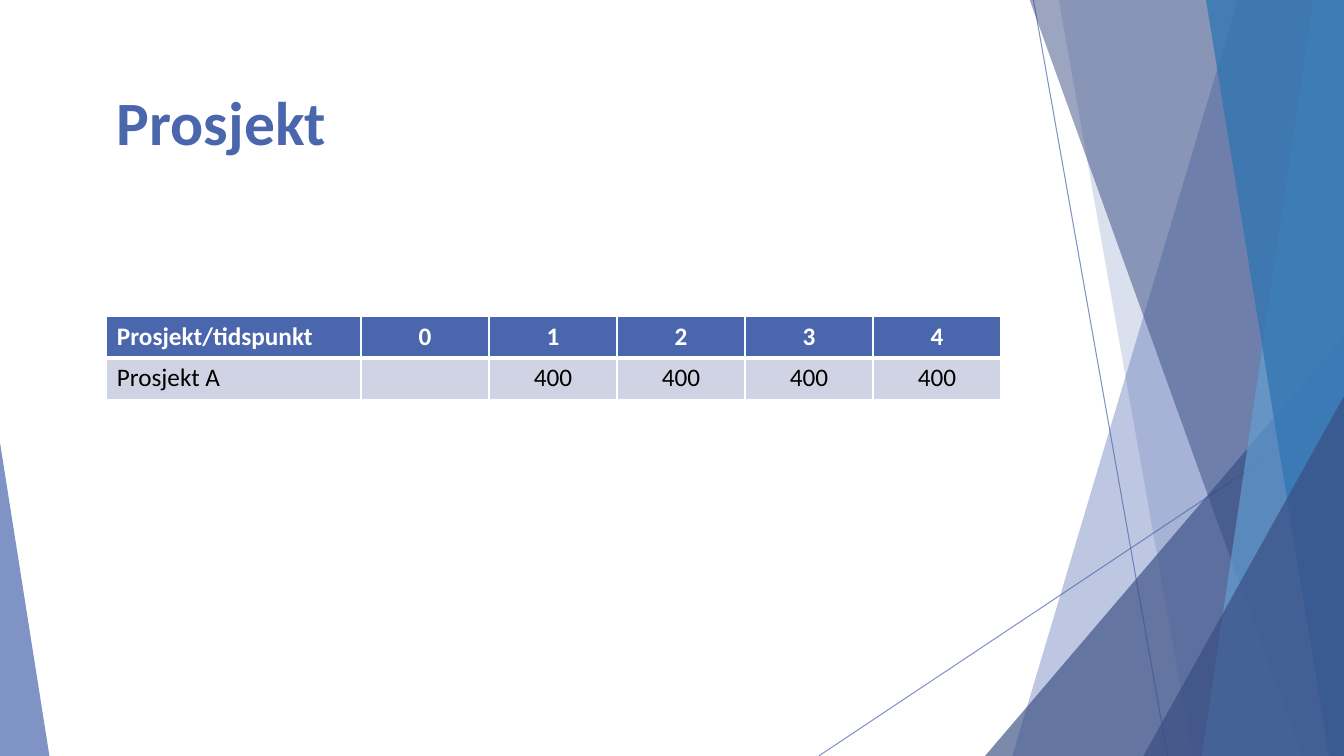
from lxml import etree
from pptx import Presentation
from pptx.dml.color import RGBColor
from pptx.enum.shapes import MSO_CONNECTOR, MSO_SHAPE
from pptx.enum.text import MSO_ANCHOR, PP_ALIGN
from pptx.oxml.ns import qn
from pptx.util import Inches, Pt

FONT = "Calibri"
BLUE, NAVY, SKY, OCEAN = "4A66AC", "384C81", "629DD1", "3477B2"
WHITE, BLACK, PALE = "FFFFFF", "000000", "D0D3E3"
WIDTH, HEIGHT, TOP = 13.33, 7.5, -0.01
TABLE_ROWS = [
    ["Prosjekt/tidspunkt", "0", "1", "2", "3", "4"],
    ["Prosjekt A", "", "400", "400", "400", "400"],
]


def set_color(color_format, color):
    color_format.rgb = RGBColor.from_string(color)


def set_alpha(fill_parent, percent):
    """Set the opacity of the solid fill held by an spPr or ln element."""
    color = fill_parent.find(qn("a:solidFill"))[0]
    etree.SubElement(color, qn("a:alpha"), val=str(percent * 1000))


def paint(shape, color, opacity):
    shape.shadow.inherit = False
    shape.fill.solid()
    set_color(shape.fill.fore_color, color)
    set_alpha(shape.element.spPr, opacity)
    shape.line.fill.background()


def add_line(slide, start, end):
    line = slide.shapes.add_connector(
        MSO_CONNECTOR.STRAIGHT, *(Inches(value) for value in (*start, *end)))
    line.line.width = Pt(0.75)
    set_color(line.line.color, BLUE)
    properties = line.element.spPr
    set_alpha(properties.find(qn("a:ln")), 70)
    etree.SubElement(properties, qn("a:effectLst"))


def add_band(slide, top_left, bottom_left, color, opacity):
    """Draw a slanted band that reaches the right edge of the slide."""
    builder = slide.shapes.build_freeform(Inches(top_left), Inches(TOP))
    corners = [(WIDTH, TOP), (WIDTH, HEIGHT), (bottom_left, HEIGHT)]
    builder.add_line_segments([(Inches(x), Inches(y)) for x, y in corners])
    paint(builder.convert_to_shape(), color, opacity)


def add_corner(slide, left, top, width, apex, color, opacity):
    """Draw a triangle on the bottom edge; apex runs from 0 (left) to 1 (right)."""
    triangle = slide.shapes.add_shape(
        MSO_SHAPE.ISOSCELES_TRIANGLE, Inches(left), Inches(top),
        Inches(width), Inches(HEIGHT - top))
    triangle.adjustments[0] = apex
    paint(triangle, color, opacity)


def add_background(slide):
    add_line(slide, (10.25, 0), (11.58, HEIGHT))
    add_line(slide, (WIDTH, 4.03), (8.12, HEIGHT))
    add_band(slide, 12.28, 10.04, BLUE, 36)
    add_band(slide, 10.5, 11.83, BLUE, 20)
    add_corner(slide, 9.77, 3.33, 3.56, 1, NAVY, 66)
    add_band(slide, 10.21, 12.91, NAVY, 50)
    add_band(slide, 13.03, 11.92, SKY, 70)
    add_band(slide, 11.96, 13.18, OCEAN, 80)
    add_corner(slide, 11.34, 3.93, 1.99, 1, NAVY, 66)
    add_corner(slide, 0, 4.39, 0.49, 0, BLUE, 70)


def add_run(paragraph, text, size, color, bold):
    run = paragraph.add_run()
    run.text = text
    run.font.name = FONT
    run.font.size = Pt(size)
    run.font.bold = bold
    set_color(run.font.color, color)


def add_title(slide, text):
    box = slide.shapes.add_textbox(
        Inches(1.06), Inches(0.78), Inches(9.4), Inches(1.44))
    frame = box.text_frame
    frame.word_wrap = True
    frame.vertical_anchor = MSO_ANCHOR.TOP
    add_run(frame.paragraphs[0], text, 44, BLUE, True)


def set_borders(cell, bottom_width):
    """Give the cell white borders, ahead of its fill in the XML."""
    properties = cell._tc.get_or_add_tcPr()
    widths = {"lnL": 1, "lnR": 1, "lnT": 1, "lnB": bottom_width}
    for position, (side, width) in enumerate(widths.items()):
        border = etree.Element(qn(f"a:{side}"), w=str(Pt(width)))
        fill = etree.SubElement(border, qn("a:solidFill"))
        etree.SubElement(fill, qn("a:srgbClr"), val=WHITE)
        properties.insert(position, border)


def add_project_table(slide):
    column_widths = [2.52] + [1.27] * 5
    row_height = 0.41
    table = slide.shapes.add_table(
        len(TABLE_ROWS), len(column_widths), Inches(1.06), Inches(3.14),
        Inches(sum(column_widths)), Inches(row_height * len(TABLE_ROWS))).table
    for column, width in zip(table.columns, column_widths):
        column.width = Inches(width)
    for row_index, texts in enumerate(TABLE_ROWS):
        table.rows[row_index].height = Inches(row_height)
        header = row_index == 0
        for column_index, text in enumerate(texts):
            cell = table.cell(row_index, column_index)
            cell.fill.solid()
            set_color(cell.fill.fore_color, BLUE if header else PALE)
            set_borders(cell, 3 if header else 1)
            paragraph = cell.text_frame.paragraphs[0]
            paragraph.alignment = PP_ALIGN.CENTER if column_index else PP_ALIGN.LEFT
            if text:
                add_run(paragraph, text, 18, WHITE if header else BLACK, header)


def main():
    presentation = Presentation()
    presentation.slide_width = Inches(WIDTH)
    presentation.slide_height = Inches(HEIGHT)
    slide = presentation.slides.add_slide(presentation.slide_layouts[6])
    add_background(slide)
    add_title(slide, "Prosjekt")
    add_project_table(slide)
    presentation.save("out.pptx")


if __name__ == "__main__":
    main()
